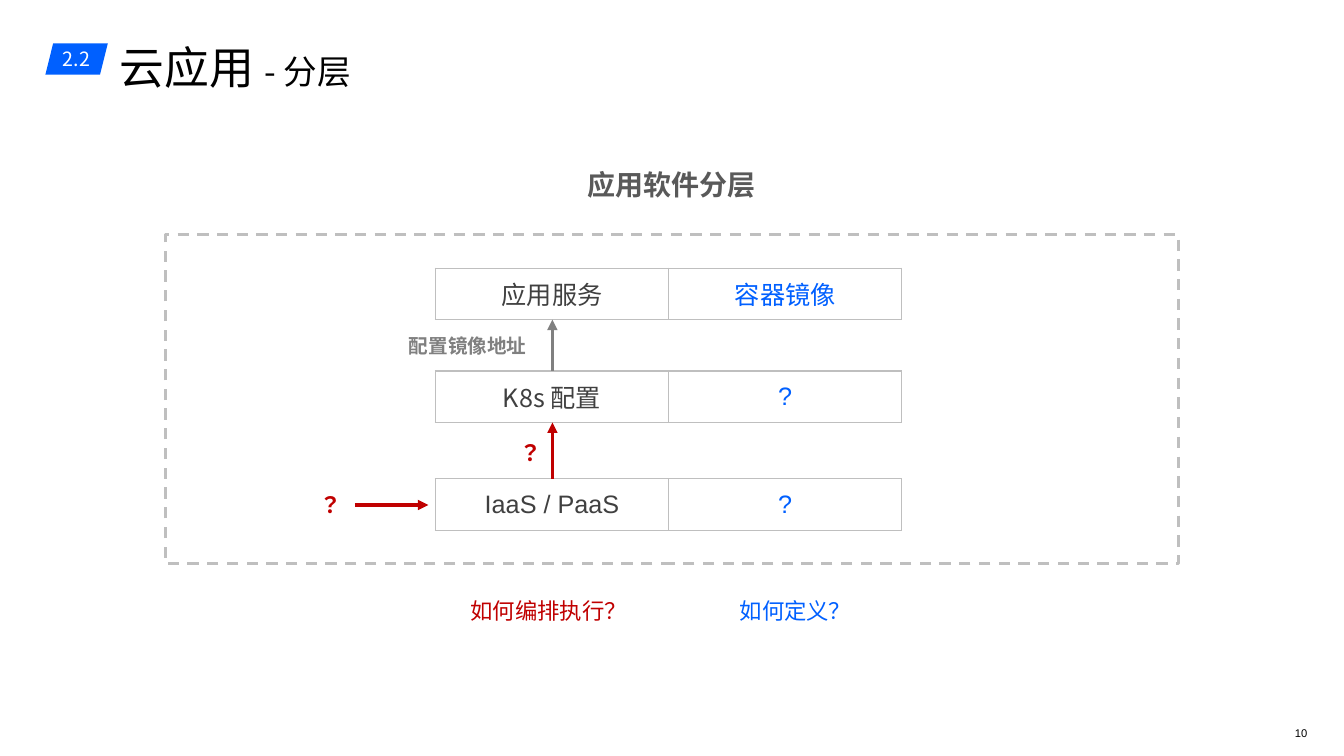
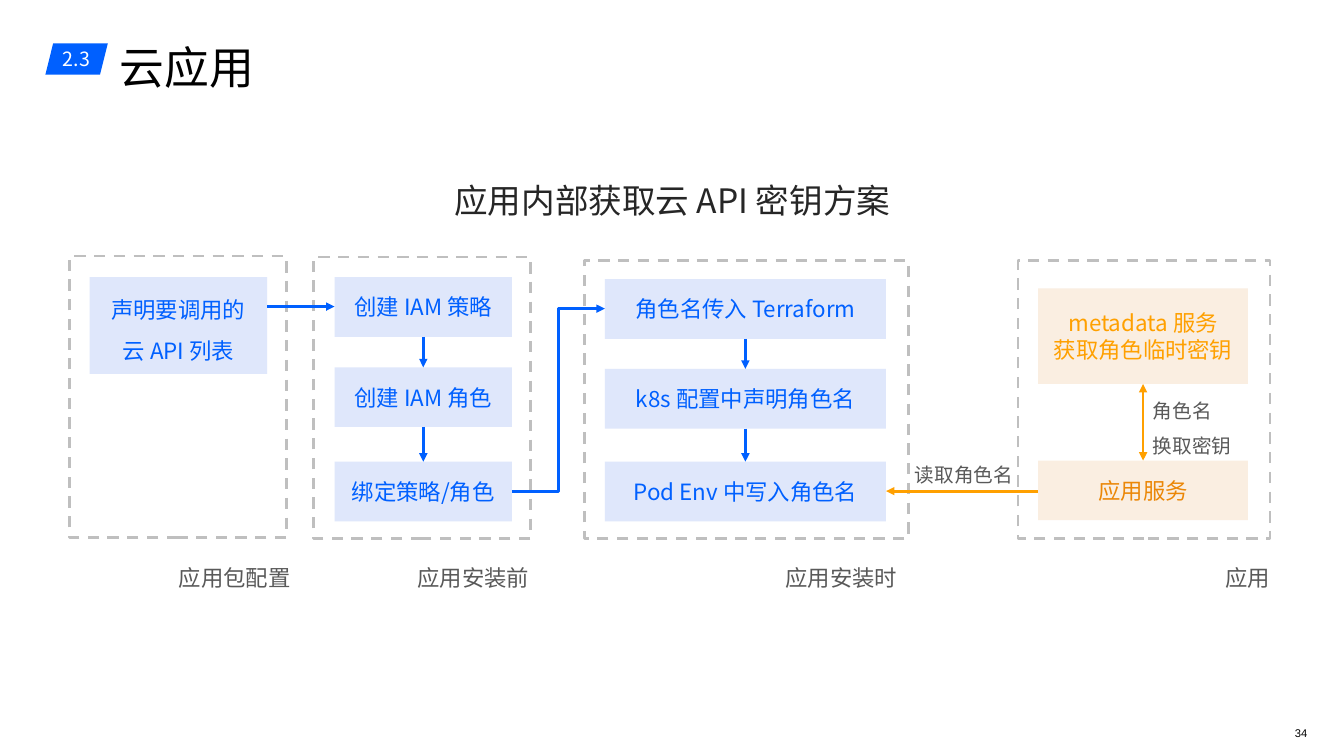
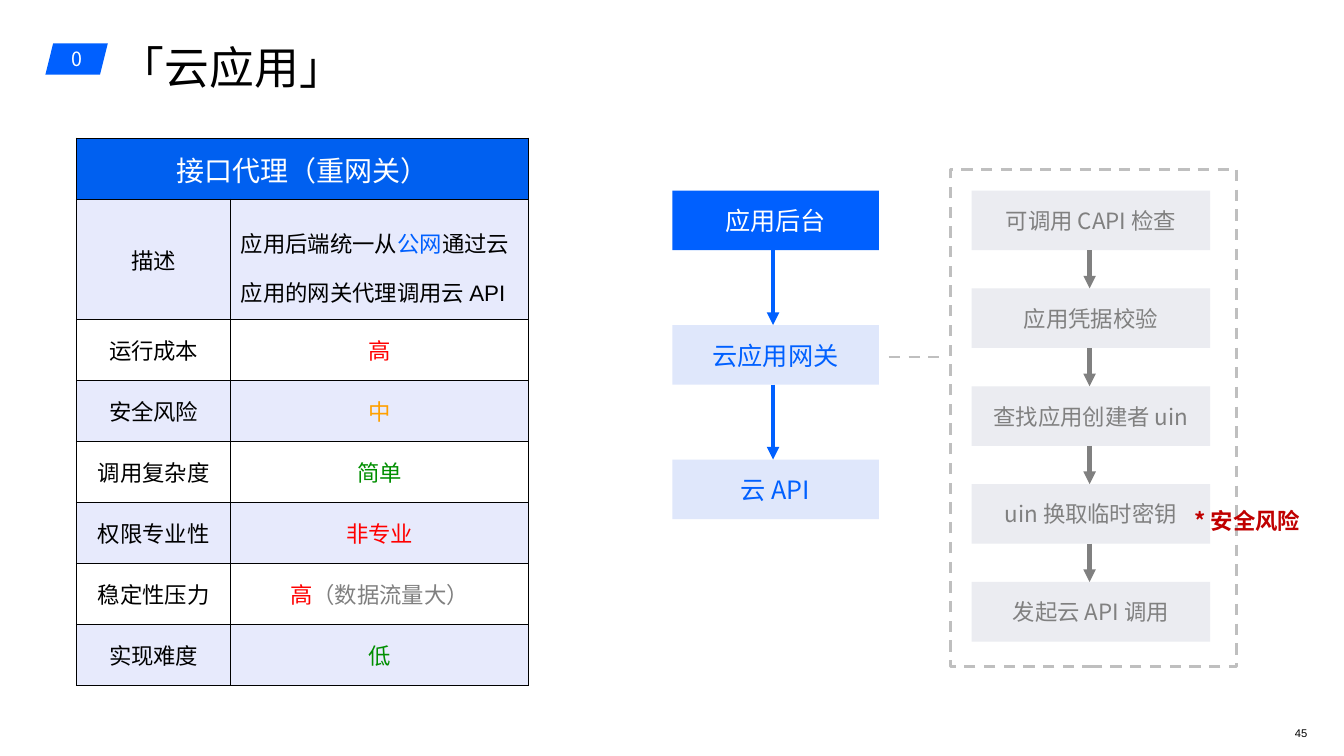
from lxml import etree
from pptx import Presentation
from pptx.dml.color import RGBColor
from pptx.enum.dml import MSO_LINE
from pptx.enum.lang import MSO_LANGUAGE_ID
from pptx.enum.shapes import MSO_CONNECTOR, MSO_SHAPE
from pptx.enum.text import MSO_ANCHOR, PP_ALIGN
from pptx.oxml.ns import qn
from pptx.util import Pt

LEFT, CENTER, RIGHT = PP_ALIGN.LEFT, PP_ALIGN.CENTER, PP_ALIGN.RIGHT
TOP, MIDDLE = MSO_ANCHOR.TOP, MSO_ANCHOR.MIDDLE
RECT, BADGE = MSO_SHAPE.RECTANGLE, MSO_SHAPE.PARALLELOGRAM
STRAIGHT, ELBOW = MSO_CONNECTOR.STRAIGHT, MSO_CONNECTOR.ELBOW
DASH = MSO_LINE.DASH
CHINESE = MSO_LANGUAGE_ID.SIMPLIFIED_CHINESE

NOTO, ARIAL = "Noto Sans CJK JP", "Arial"
BLACK, WHITE = "000000", "FFFFFF"
BLUE, PALE_BLUE = "0060FF", "DFE7FB"
ORANGE, DARK_ORANGE, PALE_ORANGE = "FFA000", "EB8707", "FAEEE1"
DARK_RED, RED, GREEN = "C00000", "FF0000", "008F00"
INK, DARK_GRAY, MID_GRAY, GRAY = "262626", "404040", "595959", "808080"
LIGHT_GRAY, PALE_GRAY = "BFBFBF", "EBECF1"
HEADER_BLUE, BAND = "0060F0", "E7EAFC"
hex_color = RGBColor.from_string


def style(run, size, color, latin=NOTO, bold=False):
    font = run.font
    font.size, font.bold, font.name = Pt(size), bold, latin
    font.color.rgb = hex_color(color)
    font.language_id = CHINESE
    etree.SubElement(run._r.get_or_add_rPr(), qn("a:ea"), typeface=NOTO)


def put(slide, x, y, w, h, text="", size=16, color=BLUE, fill=None, outline=None,
        shape=RECT, align=CENTER, anchor=TOP, spacing=None, inset=(7.2, 3.6),
        bold=False, latin=NOTO):
    """Draw a filled box, a dashed frame or, with neither, a text label."""
    place = Pt(x), Pt(y), Pt(w), Pt(h)
    if fill or outline:
        box = slide.shapes.add_shape(shape, *place)
        box.shadow.inherit = False
        box.fill.background()
        box.line.fill.background()
        inset = (4.3, 4.3)
        if fill:
            box.fill.solid()
            box.fill.fore_color.rgb = hex_color(fill)
        if outline:
            box.line.color.rgb = hex_color(outline)
            box.line.width, box.line.dash_style = Pt(2), DASH
    else:
        box = slide.shapes.add_textbox(*place)
    frame = box.text_frame
    frame.word_wrap, frame.vertical_anchor = True, anchor
    frame.margin_left = frame.margin_right = Pt(inset[0])
    frame.margin_top = frame.margin_bottom = Pt(inset[1])
    if text:
        frame.text = text
        for paragraph in frame.paragraphs:
            paragraph.alignment = align
            if spacing:
                paragraph.line_spacing = spacing
            for run in paragraph.runs:
                style(run, size, color, latin, bold)
    return box


prs = Presentation()
prs.slide_width, prs.slide_height = Pt(960), Pt(540)

# Badge, title and page number of every slide
slides = []
for section, title, subtitle, page in [
    ("2.2", "云应用 ", "- 分层", "10"),
    ("2.3", "云应用", "", "34"),
    ("0", "「云应用」", "", "45"),
]:
    slide = prs.slides.add_slide(prs.slide_layouts[6])
    slides.append(slide)
    put(slide, 914.4, 514.8, 30, 18, page, 8, BLACK, inset=(4.3, 4.3), latin=ARIAL)
    heading = put(slide, 85.7, 20.9, 336, 43, title, 32, BLACK, align=LEFT,
                  spacing=1.2, inset=(0, 0))
    if subtitle:
        run = heading.text_frame.paragraphs[0].add_run()
        run.text = subtitle
        style(run, 24, BLACK)
    put(slide, 32.4, 31, 44.6, 22.3, section, 14, WHITE, fill=BLUE, shape=BADGE,
        anchor=MIDDLE)
layers, secrets, proxy = slides

# Connectors: slide, kind, from, to, colour, width, arrowheads, dash
links = []
# Tables: slide, left, top, columns, row heights, row sizes, row fills, border, rows
tables = []

# Slide 1: software layers
put(layers, 118, 167.8, 724, 235, outline=LIGHT_GRAY)
put(layers, 400, 115.2, 160, 32.4, "应用软件分层", 20, MID_GRAY, anchor=MIDDLE,
    inset=(4.3, 4.3), bold=True)
ROW_H = 36.8
LAYER_TOPS = [191.5, 265, 342]
for top, layer, definition in zip(
    LAYER_TOPS,
    [("应用服务", DARK_GRAY), ("K8s 配置", DARK_GRAY, NOTO), ("IaaS / PaaS", DARK_GRAY)],
    ["容器镜像", "?", "?"],
):
    tables.append((layers, 311, top, [166.6] * 2, [ROW_H], [18], [None], LIGHT_GRAY,
                   [[[layer], [(definition, BLUE)]]]))
for upper, lower, color in zip(LAYER_TOPS, LAYER_TOPS[1:], [GRAY, DARK_RED]):
    links.append((layers, STRAIGHT, (394.6, lower), (394.6, upper + ROW_H), color, 2.5,
                  ["tailEnd"], None))
links.append((layers, STRAIGHT, (253.5, 360.7), (306, 360.7), DARK_RED, 2.5, ["tailEnd"], None))
put(layers, 270.5, 234, 110, 25.2, "配置镜像地址", 14, GRAY, align=RIGHT, anchor=MIDDLE,
    inset=(4.3, 4.3), bold=True)
for x, y in [(357.6, 310.3), (215, 347)]:
    put(layers, x, y, 36.2, 26.6, "？", 16, DARK_RED, align=RIGHT, bold=True)
put(layers, 329, 423, 130.5, 26.6, "如何编排执行？", 16, DARK_RED, align=LEFT)
put(layers, 521.3, 423, 112, 26.6, "如何定义？", align=LEFT)

# Slide 2: stages of the key scheme
put(secrets, 254.9, 110.9, 450.7, 46, "应用内部获取云 API 密钥方案", 24, INK, spacing=1.5)
for x, y, w, h, stage, label_right in [
    (49.7, 182.9, 154.8, 200.9, "应用包配置", 214.6),
    (223.9, 183.6, 154.8, 200.9, "应用安装前", 385.2),
    (417.6, 185.8, 231.1, 198.7, "应用安装时", 648),
    (727.2, 185.8, 180, 198.7, "应用", 914.4),
]:
    put(secrets, x, y, w, h, outline=LIGHT_GRAY)
    put(secrets, label_right - 165.6, 389.5, 165.6, 33, stage, 16, MID_GRAY,
        align=RIGHT, spacing=1.5)

STEP_H = 42.6
put(secrets, 64.1, 198, 126.7, 69.1, "声明要调用的\n云 API 列表", fill=PALE_BLUE, spacing=1.5)
for x, w, tops, steps in [
    (239, 126.7, [198, 262.4, 329.8], ["创建 IAM 策略", "创建 IAM 角色", "绑定策略/角色"]),
    (432, 200.9, [199.4, 263.5, 329.8],
     ["角色名传入 Terraform", "k8s 配置中声明角色名", "Pod Env 中写入角色名"]),
]:
    for top, step in zip(tops, steps):
        put(secrets, x, top, w, STEP_H, step, fill=PALE_BLUE, anchor=MIDDLE)
    for upper, lower in zip(tops, tops[1:]):
        links.append((secrets, STRAIGHT, (x + w / 2, upper + STEP_H), (x + w / 2, lower),
                      BLUE, 2, ["tailEnd"], None))

# Slide 2: running application and links between the stages
put(secrets, 741.6, 205.9, 149.8, 68.4, "metadata 服务\n获取角色临时密钥", 16, ORANGE,
    fill=PALE_ORANGE, anchor=MIDDLE)
put(secrets, 741.6, 329, 149.8, STEP_H, "应用服务", 16, DARK_ORANGE, fill=PALE_ORANGE,
    anchor=MIDDLE)
put(secrets, 640.8, 319, 90, 29.5, "读取角色名", 14, MID_GRAY, align=RIGHT, spacing=1.5)
put(secrets, 816.5, 272.9, 90, 55.4, "角色名\n换取密钥", 14, MID_GRAY, align=LEFT, spacing=1.5)
links += [
    (secrets, STRAIGHT, (190.8, 219), (239, 219), BLUE, 2, ["tailEnd"], None),
    (secrets, ELBOW, (365.7, 351.3), (432, 220.5), BLUE, 2, ["tailEnd"], None),
    (secrets, STRAIGHT, (741.6, 350.8), (632.9, 350.8), ORANGE, 2, ["tailEnd"], None),
    (secrets, STRAIGHT, (816.5, 329), (816.5, 274.3), ORANGE, 2, ["headEnd", "tailEnd"], None),
]

# Slide 3: assessment table
ratings = [
    ("运行成本", [("高", RED)]),
    ("安全风险", [("中", ORANGE)]),
    ("调用复杂度", [("简单", GREEN)]),
    ("权限专业性", [("非专业", RED)]),
    ("稳定性压力", [("高", RED), ("（数据流量大）", GRAY)]),
    ("实现难度", [("低", GREEN)]),
]
summary = [("应用后端统一从", BLACK), ("公网", BLUE), ("通过云应用的网关代理调用云 API", BLACK)]
tables.append((
    proxy, 54.7, 98.8, [110.2, 212.4], [43.6, 85.8] + [43.6] * 6, [20] + [16] * 7,
    [HEADER_BLUE, BAND] + [WHITE, BAND] * 3, BLACK,
    [[[("接口代理（重网关）", WHITE)]], [[("描述", BLACK)], summary]]
    + [[[(criterion, BLACK)], rating] for criterion, rating in ratings],
))

# Slide 3: call chain and what the gateway does
put(proxy, 679, 121, 204.5, 355, outline=LIGHT_GRAY)
for x, w, pitch, size, color, fill, link_x, steps in [
    (480.2, 147.6, 96.1, 18, BLUE, PALE_BLUE, 552.2, ["应用后台", "云应用网关", "云 API"]),
    (694, 170.4, 69.9, 16, GRAY, PALE_GRAY, 778.3,
     ["可调用 CAPI 检查", "应用凭据校验", "查找应用创建者 uin", "uin 换取临时密钥", "发起云 API 调用"]),
]:
    for i, step in enumerate(steps):
        top = 136.1 + i * pitch
        entry = step == "应用后台"
        put(proxy, x, top, w, STEP_H, step, size, WHITE if entry else color,
            fill=BLUE if entry else fill, anchor=MIDDLE)
        if i:
            links.append((proxy, STRAIGHT, (link_x, top - pitch + STEP_H), (link_x, top),
                          color, 3, ["tailEnd"], None))
links.append((proxy, STRAIGHT, (635, 255), (671, 255), LIGHT_GRAY, 2, [], DASH))
put(proxy, 840.2, 349.2, 101.5, 33, "* 安全风险", 16, DARK_RED, spacing=1.5, bold=True)

# Draw the tables
for slide, x, y, columns, heights, sizes, fills, border, rows in tables:
    table = slide.shapes.add_table(len(rows), len(columns), Pt(x), Pt(y),
                                   Pt(sum(columns)), Pt(sum(heights))).table
    table.first_row = table.horz_banding = False
    for column, width in zip(table.columns, columns):
        column.width = Pt(width)
    for r, row in enumerate(rows):
        table.rows[r].height = Pt(heights[r])
        for c in range(len(columns)):
            cell = table.cell(r, c)
            cell.vertical_anchor = MIDDLE
            for side in ("lnL", "lnR", "lnT", "lnB"):
                edge = etree.SubElement(cell._tc.get_or_add_tcPr(), qn("a:" + side), w="12700")
                paint = etree.SubElement(edge, qn("a:solidFill"))
                etree.SubElement(paint, qn("a:srgbClr"), val=border)
            if fills[r]:
                cell.fill.solid()
                cell.fill.fore_color.rgb = hex_color(fills[r])
            else:
                cell.fill.background()
        for c, runs in enumerate(row):
            paragraph = table.cell(r, c).text_frame.paragraphs[0]
            paragraph.alignment = LEFT if runs is summary else CENTER
            if runs is summary:
                paragraph.line_spacing = 1.5
            for text, color, *latin in runs:
                run = paragraph.add_run()
                run.text = text
                style(run, sizes[r], color, *(latin or [ARIAL]))
        if len(row) < len(columns):
            table.cell(r, 0).merge(table.cell(r, len(columns) - 1))

# Draw the connectors
for slide, kind, start, end, color, width, heads, dash in links:
    link = slide.shapes.add_connector(kind, *map(Pt, start + end))
    link.line.color.rgb = hex_color(color)
    link.line.width = Pt(width)
    if dash:
        link.line.dash_style = dash
    for head in heads:
        etree.SubElement(link.line._get_or_add_ln(), qn("a:" + head), type="triangle")
    etree.SubElement(link._element.spPr, qn("a:effectLst"))

prs.save("out.pptx")
